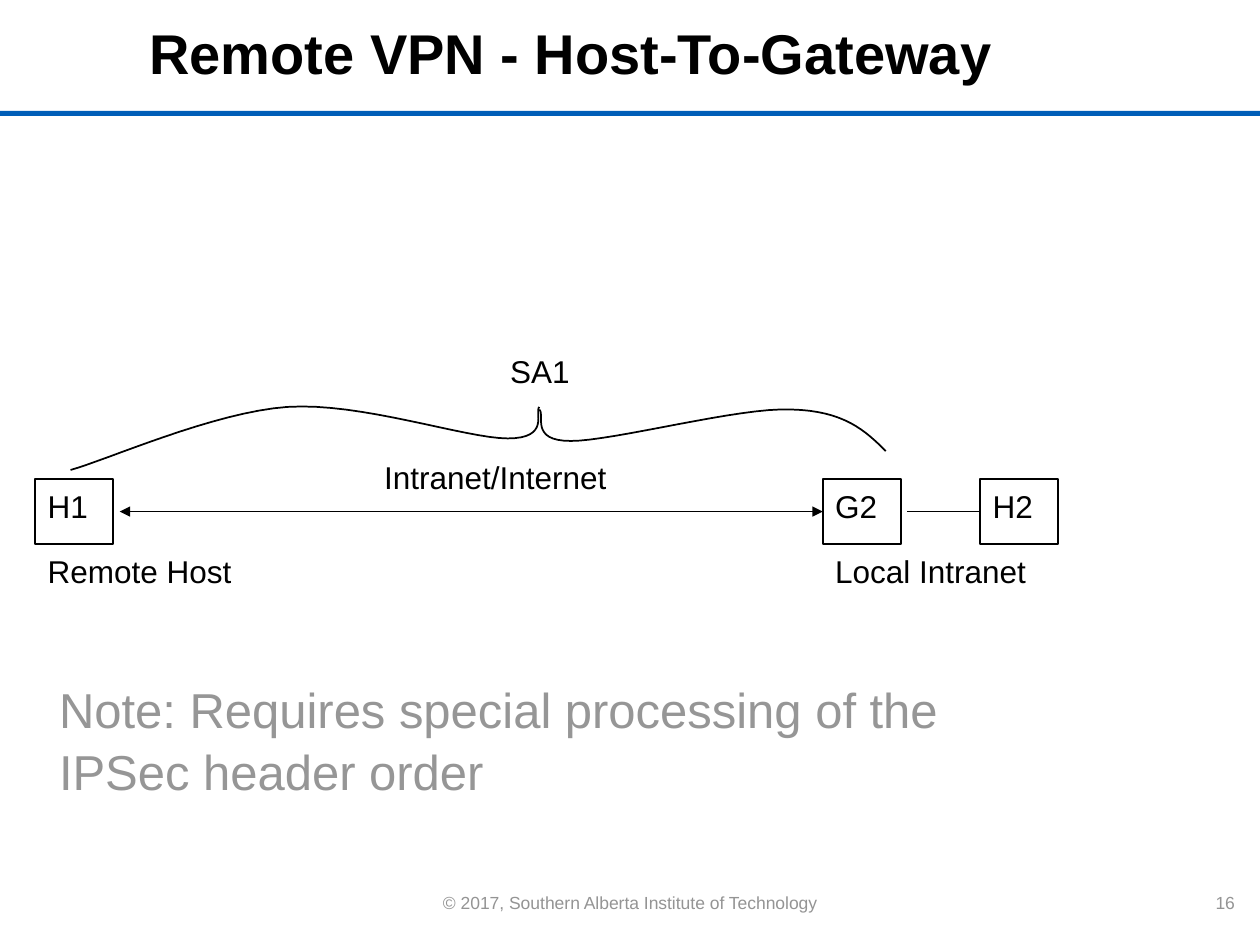
"""Build a slide on a remote VPN from host to gateway."""
from typing import NamedTuple

from lxml.etree import SubElement
from pptx import Presentation
from pptx.dml.color import RGBColor
from pptx.enum.shapes import MSO_CONNECTOR, MSO_SHAPE
from pptx.enum.text import MSO_ANCHOR, PP_ALIGN
from pptx.oxml.ns import qn
from pptx.util import Inches, Pt

COLORS = {"ink": "000000", "rule": "005EB8", "note": "969696", "foot": "949494"}
TOP, WIDE, HIGH = 3.8, 0.62, 0.52
MID = TOP + HIGH / 2
STEPS = 16


class Node(NamedTuple):
    name: str
    left: float


class Label(NamedTuple):
    text: str
    left: float
    top: float
    width: float


NODES = [Node("H1", 0.28), Node("G2", 6.53), Node("H2", 7.78)]
LABELS = [
    Label("SA1", 3.95, 2.73, 0.8),
    Label("Intranet/Internet", 2.95, 3.57, 2.36),
    Label("Remote Host", 0.28, 4.32, 1.95),
    Label("Local Intranet", 6.53, 4.32, 2.08),
]
BRACE = [
    [(0.56, 3.73), (0.85, 3.65), (1.7, 3.27), (2.28, 3.23), (2.86, 3.19),
     (3.7, 3.48), (4.03, 3.48), (4.37, 3.48), (4.24, 3.27), (4.28, 3.23)],
    [(7.03, 3.58), (6.87, 3.42), (6.7, 3.26), (6.28, 3.25), (5.87, 3.23),
     (4.87, 3.5), (4.53, 3.5), (4.2, 3.5), (4.33, 3.29), (4.28, 3.25)],
]


def color(name: str) -> RGBColor:
    return RGBColor.from_string(COLORS[name])


def write(shape, text: str, *, size: float = 18, ink: str = "ink", bold: bool = False,
          align=PP_ALIGN.LEFT, wrap: bool = False, spacing: float = 1.05) -> None:
    frame = shape.text_frame
    frame.word_wrap = wrap
    frame.vertical_anchor = MSO_ANCHOR.TOP
    para = frame.paragraphs[0]
    para.alignment = align
    para.line_spacing = spacing
    run = para.add_run()
    run.text = text
    font = run.font
    font.name, font.size, font.bold = "Arial", Pt(size), bold
    font.color.rgb = color(ink)


def place(shape, left: float, top: float, width: float, height: float) -> None:
    shape.left, shape.top = Inches(left), Inches(top)
    shape.width, shape.height = Inches(width), Inches(height)


def add_text(slide, text: str, left: float, top: float, width: float,
             height: float, **style) -> None:
    box = slide.shapes.add_textbox(*map(Inches, (left, top, width, height)))
    write(box, text, **style)


def stroke(shape) -> None:
    shape.line.color.rgb = color("ink")
    shape.line.width = Pt(1)


def add_node(slide, node: Node):
    box = slide.shapes.add_shape(
        MSO_SHAPE.RECTANGLE, *map(Inches, (node.left, TOP, WIDE, HIGH)))
    box.shadow.inherit = False
    box.fill.background()
    stroke(box)
    write(box, node.name)
    return box


def add_link(slide, start: float, box, arrows: bool = False) -> None:
    link = slide.shapes.add_connector(
        MSO_CONNECTOR.STRAIGHT, Inches(start), Inches(MID), box.left, Inches(MID))
    link.end_connect(box, 1)
    stroke(link)
    if arrows:
        line = link.line._get_or_add_ln()
        for end in ("a:headEnd", "a:tailEnd"):
            SubElement(line, qn(end), type="triangle")
    SubElement(link._element.spPr, qn("a:effectLst"))


def trace(knots: list) -> list:
    """Return points along a chain of cubic curves."""
    points = [knots[0]]
    for first in range(0, len(knots) - 1, 3):
        a, b, c, d = knots[first:first + 4]
        for step in range(1, STEPS + 1):
            t = step / STEPS
            u = 1 - t
            points.append(tuple(
                u**3 * p + 3 * u * u * t * q + 3 * u * t * t * r + t**3 * s
                for p, q, r, s in zip(a, b, c, d)))
    return points


def add_curve(slide, knots: list) -> None:
    points = [(Inches(x), Inches(y)) for x, y in trace(knots)]
    pen = slide.shapes.build_freeform(*points[0])
    pen.add_line_segments(points[1:], close=False)
    curve = pen.convert_to_shape()
    curve.shadow.inherit = False
    curve.fill.background()
    stroke(curve)


def main() -> None:
    deck = Presentation()
    deck.slide_width, deck.slide_height = Inches(10), Inches(7.5)
    slide = deck.slides.add_slide(deck.slide_layouts[5])

    rule = slide.shapes.add_shape(
        MSO_SHAPE.RECTANGLE, *map(Inches, (0, 0.88, 10, 0.04)))
    rule.shadow.inherit = False
    rule.fill.solid()
    rule.fill.fore_color.rgb = color("rule")
    rule.line.fill.background()

    title = slide.shapes.title
    place(title, 0.28, 0.07, 8.5, 0.88)
    write(title, "Remote VPN - Host-To-Gateway", size=32, bold=True,
          align=PP_ALIGN.CENTER, wrap=True)
    add_text(slide, "Note: Requires special processing of the IPSec header order",
             0.37, 5.32, 8.25, 1.42, size=28, ink="note", wrap=True)

    host, gate, peer = [add_node(slide, node) for node in NODES]
    add_link(slide, 0.95, gate, arrows=True)
    add_link(slide, 7.2, peer)
    for knots in BRACE:
        add_curve(slide, knots)
    for label in LABELS:
        add_text(slide, label.text, label.left, label.top, label.width, 0.5)

    foot = dict(size=10, ink="foot", spacing=1)
    add_text(slide, "© 2017, Southern Alberta Institute of Technology",
             3.32, 7.03, 3.36, 0.27, align=PP_ALIGN.CENTER, **foot)
    add_text(slide, "16", 9.5, 7.03, 0.4, 0.27, align=PP_ALIGN.RIGHT, **foot)
    deck.save("out.pptx")


if __name__ == "__main__":
    main()
